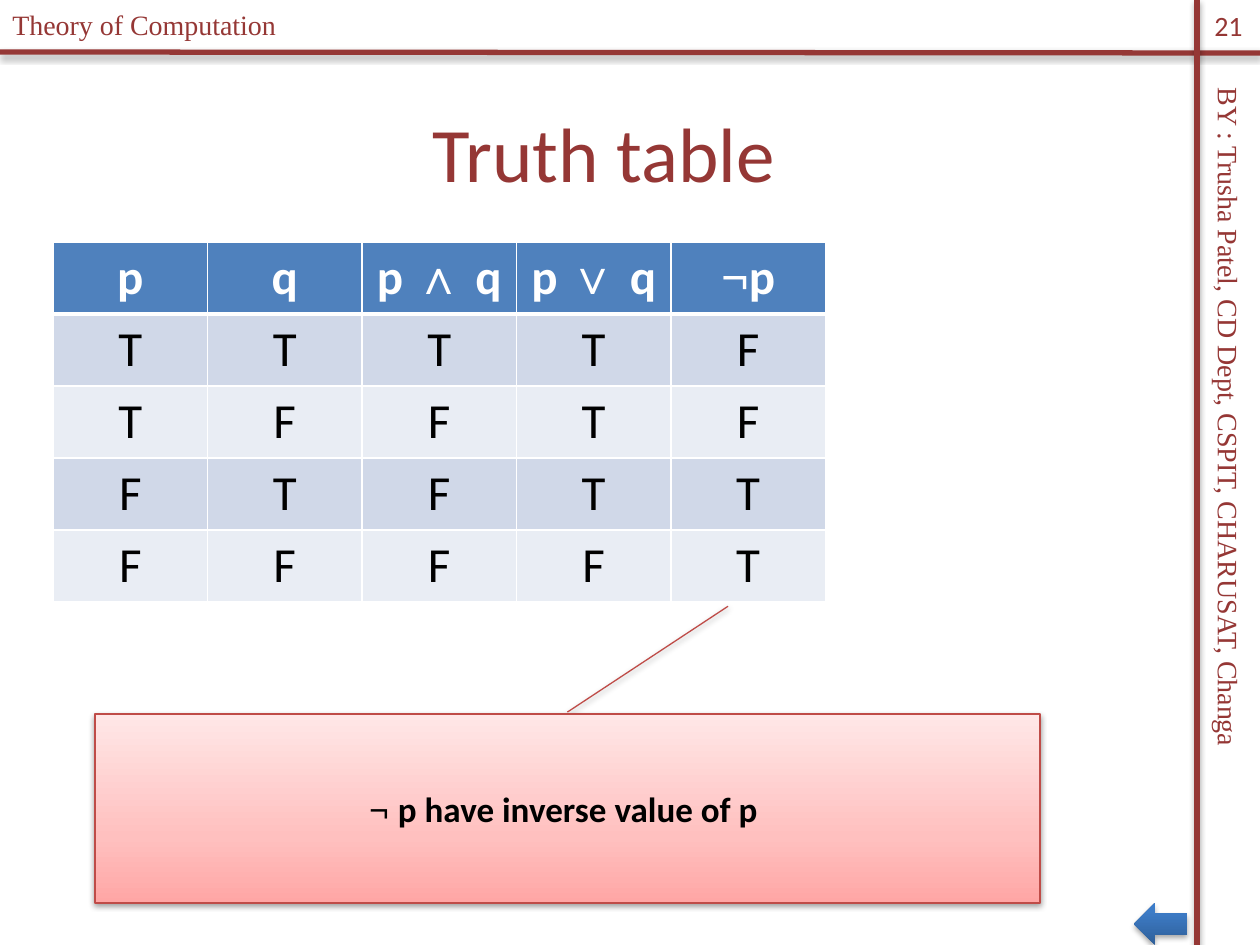
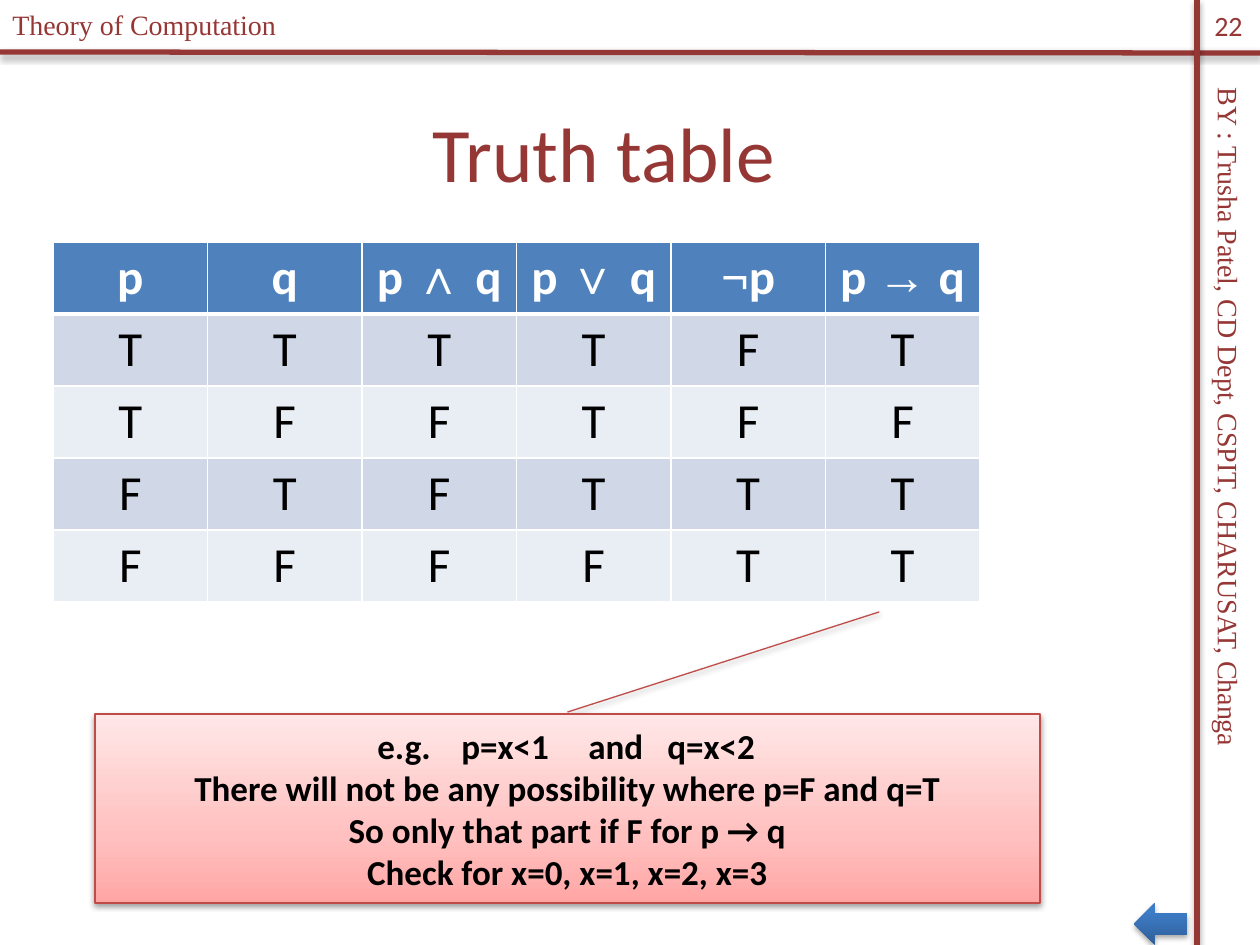
from dataclasses import dataclass
from typing import Any, NamedTuple

import pptx
import pptx.dml.color
import pptx.enum.shapes
import pptx.enum.text
import pptx.oxml
import pptx.oxml.ns
import pptx.util
from lxml import etree

# Shared scale, colours and fonts
PX_PER_INCH = 126
SLIDE_SIZE = (1260, 945)
MAROON, WHITE, BLACK = "953735", "FFFFFF", "000000"
HEADER_FILL, BAND_FILLS = "4F81BD", ("D0D8E8", "E9EDF4")
CALLOUT_LINE = "BF4C48"
CALLOUT_STOPS = ((0, "FFA6A5"), (35, "FFC0BF"), (100, "FFE7E7"))
ARROW_STOPS = ((0, "2F5F99"), (80, "3D7CC7"), (100, "3A7CCB"))
SANS, SERIF = "Calibri", "Times New Roman"
LEFT, CENTER = pptx.enum.text.PP_ALIGN.LEFT, pptx.enum.text.PP_ALIGN.CENTER
TOP, MIDDLE = pptx.enum.text.MSO_ANCHOR.TOP, pptx.enum.text.MSO_ANCHOR.MIDDLE
SHAPES = pptx.enum.shapes.MSO_SHAPE


class Area(NamedTuple):
    left: int
    top: int
    width: int
    height: int


class Span(NamedTuple):
    text: str
    font: str = SANS


@dataclass(frozen=True)
class Line:
    spans: tuple[Span, ...]
    tabs: tuple[int, ...] = ()


@dataclass(frozen=True)
class Style:
    size: int
    color: str
    bold: bool = False
    align: Any = CENTER


@dataclass(frozen=True)
class Label:
    area: Area
    span: Span
    style: Style
    anchor: Any = MIDDLE
    rotation: int = 0


@dataclass(frozen=True)
class Column:
    heading: tuple[Span, ...]
    values: str


@dataclass(frozen=True)
class TruthSlide:
    column_count: int
    pointer: tuple[float, ...]
    notes: tuple[Line, ...]


# Frame shared by both slides
RULES = ((0, 52, 1260, 53), (1197, 0, 1197, 945))
MARGIN_STYLE = Style(16, MAROON, align=LEFT)
FRAME_LABELS = (
    Label(Area(0, 1, 415, 47), Span("Theory of Computation", SERIF), MARGIN_STYLE, TOP),
    Label(Area(824, 456, 809, 47),
          Span("BY : Trusha Patel, CD Dept, CSPIT, CHARUSAT, Changa", SERIF),
          MARGIN_STYLE, TOP, 90),
    Label(Area(21, 73, 1166, 158), Span("Truth table"), Style(44, MAROON)),
)
NUMBER_AREA = Area(1197, 0, 63, 50)
FIRST_NUMBER = 21
CALLOUT_AREA = Area(95, 714, 945, 189)
ARROW_AREA = Area(1134, 903, 53, 42)

# Truth table
TABLE_LEFT, TABLE_TOP, ROW_HEIGHT = 53, 242, 72
FULL_TABLE_WIDTH = 927
COLUMNS = (
    Column((Span("p"),), "TTFF"),
    Column((Span("q"),), "TFTF"),
    Column((Span("p "), Span("∧ ", SERIF), Span("q")), "TFFF"),
    Column((Span("p "), Span("∨ ", SERIF), Span("q")), "TTTF"),
    Column((Span("¬", SERIF), Span("p")), "FFTT"),
    Column((Span("p "), Span("→ ", SERIF), Span("q")), "TFTT"),
)

SLIDES = (
    TruthSlide(5, (-0.01, 0.5, -0.57, 0.67),
               (Line((Span("¬ ", SERIF), Span("p have inverse value of p "))),)),
    TruthSlide(6, (-0.01, 0.5, -0.54, 0.83), (
        Line((Span("\te.g.\tp=x<1\tand\tq=x<2"),), (270, 354, 481, 560)),
        Line((Span("There will not be any possibility where p=F and q=T"),)),
        Line((Span("So only that part if F for p → q"),)),
        Line((Span("Check for x=0, x=1, x=2, x=3"),)),
    )),
)


# Helpers
def px(length: float) -> int:
    return round(length * 914400 / PX_PER_INCH)


def scaled(lengths: tuple[int, ...]) -> list[int]:
    return [px(length) for length in lengths]


def rgb(code: str) -> pptx.dml.color.RGBColor:
    return pptx.dml.color.RGBColor.from_string(code)


def apply_format(target: Any, values: dict[str, Any]) -> None:
    for name, value in values.items():
        setattr(target, name, value)


def add_node(parent: Any, tag: str, **attributes: Any) -> Any:
    values = {name: str(value) for name, value in attributes.items()}
    return etree.SubElement(parent, pptx.oxml.ns.qn(tag), values)


def cast_shadow(shape: Any, alpha: int = 35, distance: int = 23000) -> None:
    effects = add_node(shape.element.spPr, "a:effectLst")
    shadow = add_node(effects, "a:outerShdw", blurRad=40000, dist=distance,
                      dir=5400000, rotWithShape=0)
    color = add_node(shadow, "a:srgbClr", val=BLACK)
    add_node(color, "a:alpha", val=alpha * 1000)


def fill_gradient(shape: Any, stops: tuple[tuple[int, str], ...]) -> None:
    shape.fill.gradient()
    shape.fill.gradient_angle = 90
    stop_list = shape.element.spPr.find(".//" + pptx.oxml.ns.qn("a:gsLst"))
    for old_stop in list(stop_list):
        stop_list.remove(old_stop)
    for position, code in stops:
        stop = add_node(stop_list, "a:gs", pos=position * 1000)
        add_node(stop, "a:srgbClr", val=code)


def write_lines(frame: Any, lines: tuple[Line, ...], style: Style) -> None:
    for index, line in enumerate(lines):
        para = frame.add_paragraph() if index else frame.paragraphs[0]
        para.alignment = LEFT if line.tabs else style.align
        if line.tabs:
            tab_list = add_node(para._p.get_or_add_pPr(), "a:tabLst")
            for position in line.tabs:
                add_node(tab_list, "a:tab", pos=px(position), algn="l")
        for part in line.spans:
            span = para.add_run()
            span.text = part.text
            apply_format(span.font, {"name": part.font, "bold": style.bold,
                                     "size": pptx.util.Pt(style.size)})
            span.font.color.rgb = rgb(style.color)


def draw_label(page: Any, label: Label) -> None:
    box = page.shapes.add_textbox(*scaled(label.area))
    box.rotation = label.rotation
    apply_format(box.text_frame, {"word_wrap": True, "vertical_anchor": label.anchor})
    write_lines(box.text_frame, (Line((label.span,)),), label.style)


def draw_frame(page: Any, number: int) -> None:
    for ends in RULES:
        rule = page.shapes.add_connector(
            pptx.enum.shapes.MSO_CONNECTOR.STRAIGHT, *scaled(ends))
        rule.line.color.rgb = rgb(MAROON)
        rule.line.width = pptx.util.Pt(3)
        cast_shadow(rule)
    number_label = Label(NUMBER_AREA, Span(str(number)), Style(16, MAROON))
    for label in (*FRAME_LABELS, number_label):
        draw_label(page, label)


def draw_cell(cell: Any, row: int, spans: tuple[Span, ...]) -> None:
    heading = row == 0
    widths = {"L": 1, "R": 1, "T": 3 if row == 1 else 1, "B": 3 if heading else 1}
    properties = cell._tc.get_or_add_tcPr()
    for side, width in widths.items():
        border = add_node(properties, f"a:ln{side}", w=pptx.util.Pt(width))
        add_node(add_node(border, "a:solidFill"), "a:srgbClr", val=WHITE)
    cell.fill.solid()
    cell.fill.fore_color.rgb = rgb(HEADER_FILL if heading else BAND_FILLS[(row - 1) % 2])
    cell.vertical_anchor = MIDDLE
    style = Style(28, WHITE if heading else BLACK, heading)
    write_lines(cell.text_frame, (Line(spans),), style)


def draw_table(page: Any, columns: tuple[Column, ...]) -> None:
    row_count = len(columns[0].values) + 1
    column_width = px(FULL_TABLE_WIDTH) // len(COLUMNS)
    table = page.shapes.add_table(
        row_count, len(columns), px(TABLE_LEFT), px(TABLE_TOP),
        column_width * len(columns), px(ROW_HEIGHT) * row_count).table
    for index, column in enumerate(columns):
        table.columns[index].width = column_width
        entries = (column.heading, *((Span(value),) for value in column.values))
        for row, spans in enumerate(entries):
            draw_cell(table.cell(row, index), row, spans)


def draw_callout(page: Any, content: TruthSlide) -> None:
    callout = page.shapes.add_shape(SHAPES.LINE_CALLOUT_1, *scaled(CALLOUT_AREA))
    for index, value in enumerate(content.pointer):
        callout.adjustments[index] = value
    fill_gradient(callout, CALLOUT_STOPS)
    callout.line.color.rgb = rgb(CALLOUT_LINE)
    callout.line.width = pptx.util.Pt(0.75)
    cast_shadow(callout, 38, 20000)
    apply_format(callout.text_frame, {"word_wrap": True, "vertical_anchor": MIDDLE})
    write_lines(callout.text_frame, content.notes, Style(20, BLACK, True))


def draw_back_arrow(page: Any) -> None:
    arrow = page.shapes.add_shape(SHAPES.LEFT_ARROW, *scaled(ARROW_AREA))
    fill_gradient(arrow, ARROW_STOPS)
    arrow.line.fill.background()
    cast_shadow(arrow)


# Deck
def main() -> None:
    deck = pptx.Presentation()
    deck.slide_width, deck.slide_height = scaled(SLIDE_SIZE)
    for number, content in enumerate(SLIDES, FIRST_NUMBER):
        page = deck.slides.add_slide(deck.slide_layouts[6])
        draw_frame(page, number)
        draw_table(page, COLUMNS[:content.column_count])
        draw_callout(page, content)
        draw_back_arrow(page)
    deck.save("out.pptx")


if __name__ == "__main__":
    main()
